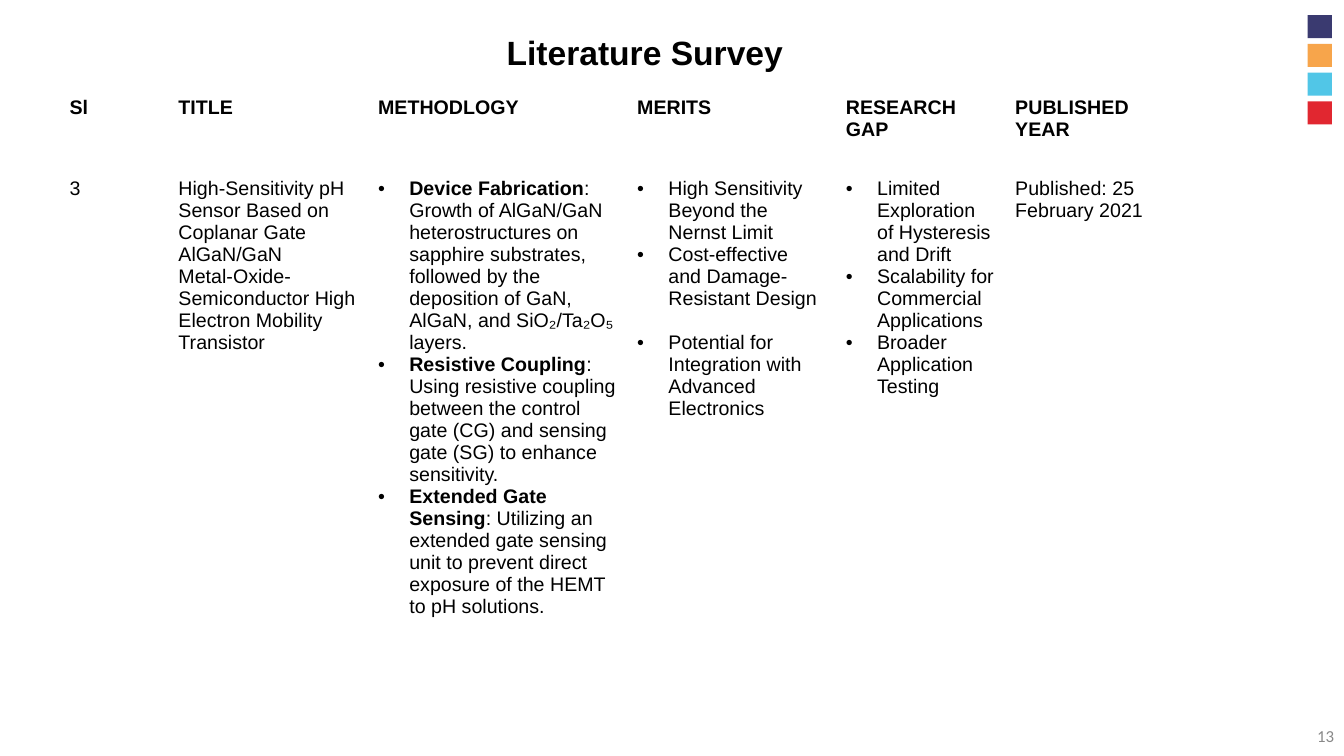
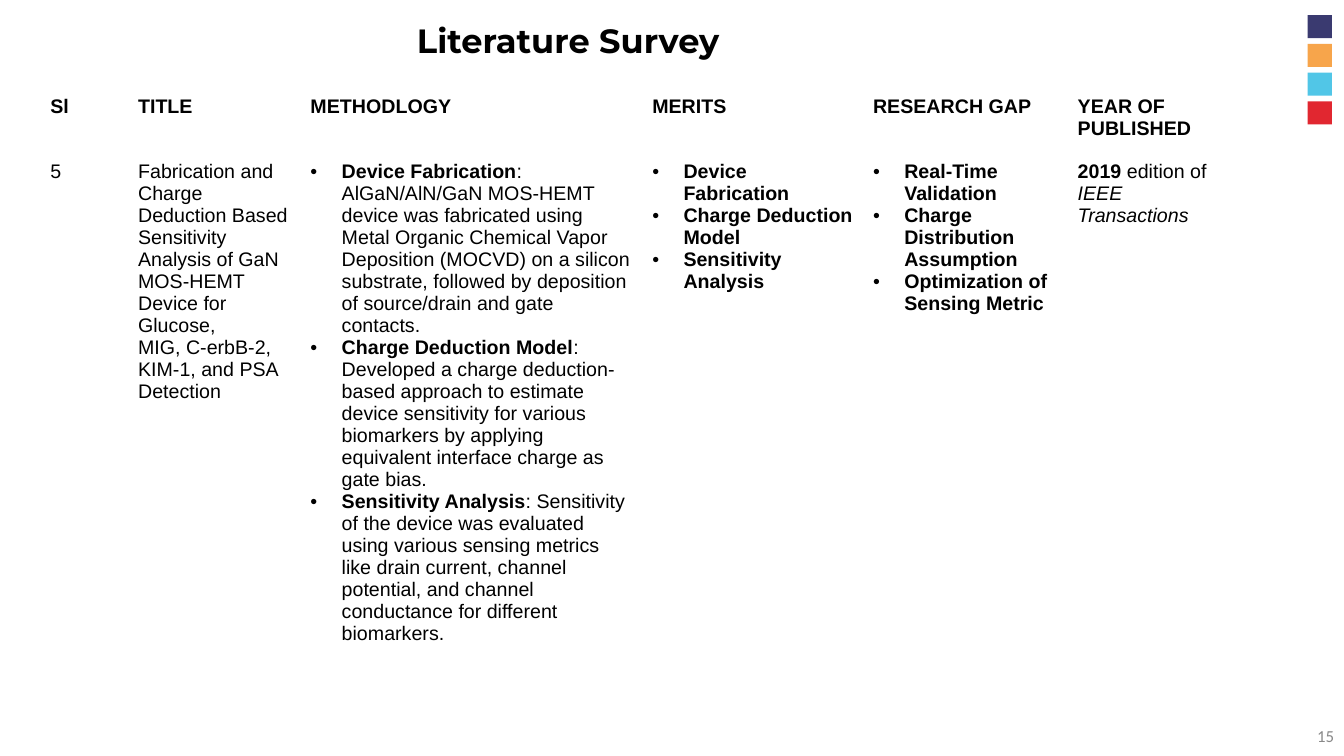
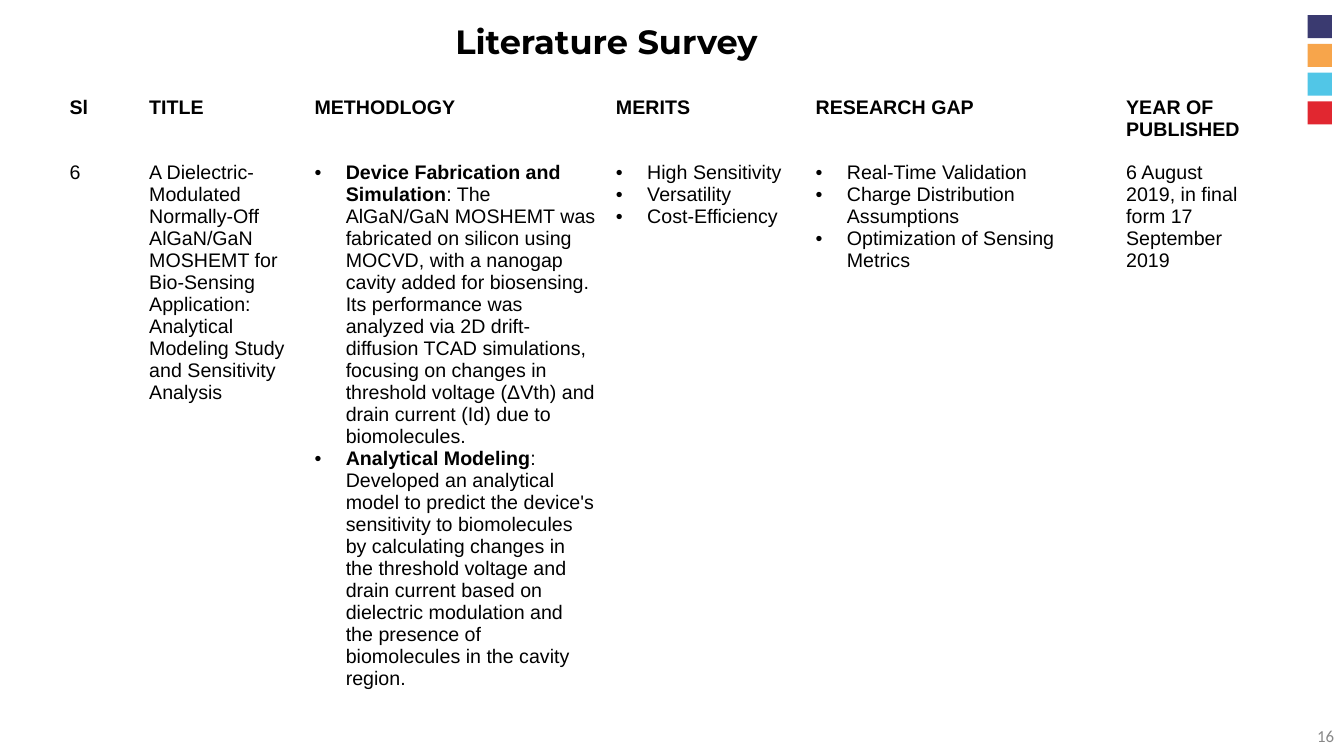
"""Build three literature survey slides, each with one table of a reviewed paper."""
import pptx
import pptx.dml.color
import pptx.enum.shapes
import pptx.enum.text
import pptx.oxml.ns
import pptx.util
from lxml import etree
from pptx.util import Inches, Pt

BLACK, GREY = "000000", "888888"
SQUARE_COLORS = ["3A3A70", "F7A54B", "51C6E7", "E12730"]
PLAIN_TABLE_STYLE = "{2D5ABB26-0587-4C30-8999-92F81FD0307C}"
BULLETED_COLUMNS = (2, 3, 4)
HEADINGS = ["Sl", "TITLE", "METHODLOGY", "MERITS", "RESEARCH GAP"]


def bold_all(*texts):
    """Return one bold paragraph for each text."""
    return [[(text, "bold")] for text in texts]


def method(term, detail):
    """Return a paragraph of a bold term and its plain explanation."""
    return [(term, "bold"), (": " + detail, "plain")]


SURVEYS = [
    {
        "number": "13", "title_font": "Arial", "title_at": (3.06, 0.27),
        "table_at": (0.59, 0.91), "columns": [1.08, 1.98, 2.57, 2.07, 1.68, 1.88],
        "rows": [0.8, 5], "last_heading": "PUBLISHED YEAR",
        "gap_before": "Potential for Integration with Advanced Electronics",
        "entry": [
            ["3"],
            ["High-Sensitivity pH Sensor Based on Coplanar Gate AlGaN/GaN",
             "Metal-Oxide-Semiconductor High Electron Mobility Transistor"],
            [method("Device Fabrication",
                    "Growth of AlGaN/GaN heterostructures on sapphire substrates, followed by "
                    "the deposition of GaN, AlGaN, and SiO₂/Ta₂O₅ layers."),
             method("Resistive Coupling",
                    "Using resistive coupling between the control gate (CG) and sensing gate "
                    "(SG) to enhance sensitivity."),
             method("Extended Gate Sensing",
                    "Utilizing an extended gate sensing unit to prevent direct exposure of the "
                    "HEMT to pH solutions.")],
            ["High Sensitivity Beyond the Nernst Limit",
             "Cost-effective and Damage-Resistant Design",
             "Potential for Integration with Advanced Electronics"],
            ["Limited Exploration of Hysteresis and Drift",
             "Scalability for Commercial Applications",
             "Broader Application Testing"],
            ["Published: 25 February 2021"],
        ],
    },
    {
        "number": "15", "title_font": "Montserrat", "title_at": (2.3, 0.15),
        "table_at": (0.4, 0.9), "columns": [0.87, 1.71, 3.39, 2.19, 2.03, 1.6],
        "rows": [0.64, 5.23], "last_heading": "YEAR OF PUBLISHED",
        "entry": [
            ["5"],
            ["Fabrication and Charge Deduction Based Sensitivity",
             "Analysis of GaN MOS-HEMT Device for Glucose,",
             "MIG, C-erbB-2, KIM-1, and PSA Detection"],
            [method("Device Fabrication",
                    "AlGaN/AlN/GaN MOS-HEMT device was fabricated using Metal Organic Chemical "
                    "Vapor Deposition (MOCVD) on a silicon substrate, followed by deposition of "
                    "source/drain and gate contacts."),
             method("Charge Deduction Model",
                    "Developed a charge deduction-based approach to estimate device sensitivity "
                    "for various biomarkers by applying equivalent interface charge as gate bias."),
             method("Sensitivity Analysis",
                    "Sensitivity of the device was evaluated using various sensing metrics like "
                    "drain current, channel potential, and channel conductance for different "
                    "biomarkers.")],
            bold_all("Device Fabrication", "Charge Deduction Model", "Sensitivity Analysis"),
            bold_all("Real-Time Validation", "Charge Distribution Assumption",
                     "Optimization of Sensing Metric"),
            [[("2019", "bold"), (" edition of ", "plain"), ("IEEE Transactions", "italic")]],
        ],
    },
    {
        "number": "16", "title_font": "Montserrat", "title_at": (2.68, 0.16),
        "table_at": (0.59, 0.91), "columns": [0.79, 1.64, 2.99, 1.98, 3.08, 1.45],
        "rows": [0.64, 5.47], "last_heading": "YEAR OF PUBLISHED",
        "entry": [
            ["6"],
            ["A Dielectric-Modulated Normally-Off AlGaN/GaN MOSHEMT for",
             "Bio-Sensing Application: Analytical Modeling Study and Sensitivity Analysis"],
            [method("Device Fabrication and Simulation",
                    "The AlGaN/GaN MOSHEMT was fabricated on silicon using MOCVD, with a nanogap "
                    "cavity added for biosensing. Its performance was analyzed via 2D "
                    "drift-diffusion TCAD simulations, focusing on changes in threshold voltage "
                    "(ΔVth) and drain current (Id) due to biomolecules."),
             method("Analytical Modeling",
                    "Developed an analytical model to predict the device's sensitivity to "
                    "biomolecules by calculating changes in the threshold voltage and drain "
                    "current based on dielectric modulation and the presence of biomolecules in "
                    "the cavity region.")],
            ["High Sensitivity", "Versatility", "Cost-Efficiency"],
            ["Real-Time Validation", "Charge Distribution Assumptions",
             "Optimization of Sensing Metrics"],
            ["6 August 2019, in final form 17 September 2019"],
        ],
    },
]


def color(hex_text):
    """Turn a hex string into a colour."""
    return pptx.dml.color.RGBColor.from_string(hex_text)


def set_font(font, name, size, hex_text, bold=None):
    """Give a font its face, size, colour and weight."""
    font.name, font.size, font.bold = name, Pt(size), bold
    font.color.rgb = color(hex_text)


def add_bullet(paragraph):
    """Give a paragraph a round bullet with a hanging indent."""
    properties = paragraph._p.get_or_add_pPr()
    properties.set("marL", str(Inches(0.31)))
    properties.set("indent", str(-Inches(0.31)))
    bullet_color = etree.SubElement(properties, pptx.oxml.ns.qn("a:buClr"))
    etree.SubElement(bullet_color, pptx.oxml.ns.qn("a:srgbClr"), val=BLACK)
    etree.SubElement(properties, pptx.oxml.ns.qn("a:buFont"), typeface="Arial")
    etree.SubElement(properties, pptx.oxml.ns.qn("a:buChar"), char="•")


def fill_cell(cell, paragraphs, bulleted=False, bold=False, gap_before=None):
    """Write paragraphs, each a string or a list of styled runs, into a cell."""
    cell.fill.background()
    frame = cell.text_frame
    for index, content in enumerate(paragraphs):
        paragraph = frame.add_paragraph() if index else frame.paragraphs[0]
        if content == gap_before:
            paragraph.space_before = Pt(15.7)
        if bulleted:
            add_bullet(paragraph)
        set_font(paragraph.font, "Arial", 14, BLACK, bold)
        runs = [(content, "")] if isinstance(content, str) else content
        for text, style in runs:
            span = paragraph.add_run()
            span.text = text
            if style:
                span.font.bold = style == "bold"
            if style == "italic":
                span.font.italic = True


def add_squares(page, layout):
    """Stack the coloured squares at the top right of the shared layout."""
    for index, hex_text in enumerate(SQUARE_COLORS):
        square = page.shapes.add_shape(
            pptx.enum.shapes.MSO_SHAPE.RECTANGLE, Inches(12.97),
            Inches(0.15 + 0.285 * index), Inches(0.24), Inches(0.23))
        square.shadow.inherit = False
        square.fill.solid()
        square.fill.fore_color.rgb = color(hex_text)
        square.line.fill.background()
        layout.shapes._spTree.append(square._element)


def add_title(page, survey):
    """Place and format the slide title."""
    title = page.shapes.title
    left, top = survey["title_at"]
    title.left, title.top = Inches(left), Inches(top)
    title.width, title.height = Inches(6.67), Inches(0.5)
    title.text_frame.text = "Literature Survey"
    title.text_frame.vertical_anchor = pptx.enum.text.MSO_ANCHOR.TOP
    paragraph = title.text_frame.paragraphs[0]
    paragraph.alignment = pptx.enum.text.PP_ALIGN.CENTER
    set_font(paragraph.font, survey["title_font"], 24, BLACK, True)


def add_number(page, number):
    """Write the page number at the bottom right."""
    box = page.shapes.add_textbox(Inches(10.33), Inches(7.1), Inches(3), Inches(0.4))
    frame = box.text_frame
    frame.word_wrap = True
    frame.vertical_anchor = pptx.enum.text.MSO_ANCHOR.MIDDLE
    frame.text = number
    paragraph = frame.paragraphs[0]
    paragraph.alignment = pptx.enum.text.PP_ALIGN.RIGHT
    set_font(paragraph.font, "Calibri", 12, GREY)


def add_survey_table(page, survey):
    """Add the table of headings and one surveyed paper."""
    left, top = survey["table_at"]
    widths, heights = survey["columns"], survey["rows"]
    table = page.shapes.add_table(
        len(heights), len(widths), Inches(left), Inches(top),
        Inches(sum(widths)), Inches(sum(heights))).table
    table.horz_banding = False
    table._tbl.tblPr.find(pptx.oxml.ns.qn("a:tableStyleId")).text = PLAIN_TABLE_STYLE
    for row, height in zip(table.rows, heights):
        row.height = Inches(height)
    headings = HEADINGS + [survey["last_heading"]]
    for index, (width, heading, content) in enumerate(zip(widths, headings, survey["entry"])):
        table.columns[index].width = Inches(width)
        fill_cell(table.cell(0, index), [heading], bold=True)
        fill_cell(table.cell(1, index), content, index in BULLETED_COLUMNS,
                  gap_before=survey.get("gap_before"))


def main():
    """Build and save the deck."""
    deck = pptx.Presentation()
    deck.slide_width, deck.slide_height = Inches(13.33), Inches(7.5)
    layout = deck.slide_layouts.get_by_name("Title Only")
    for index, survey in enumerate(SURVEYS):
        page = deck.slides.add_slide(layout)
        if index == 0:
            add_squares(page, layout)
        add_number(page, survey["number"])
        add_survey_table(page, survey)
        add_title(page, survey)
    deck.save("out.pptx")


if __name__ == "__main__":
    main()
